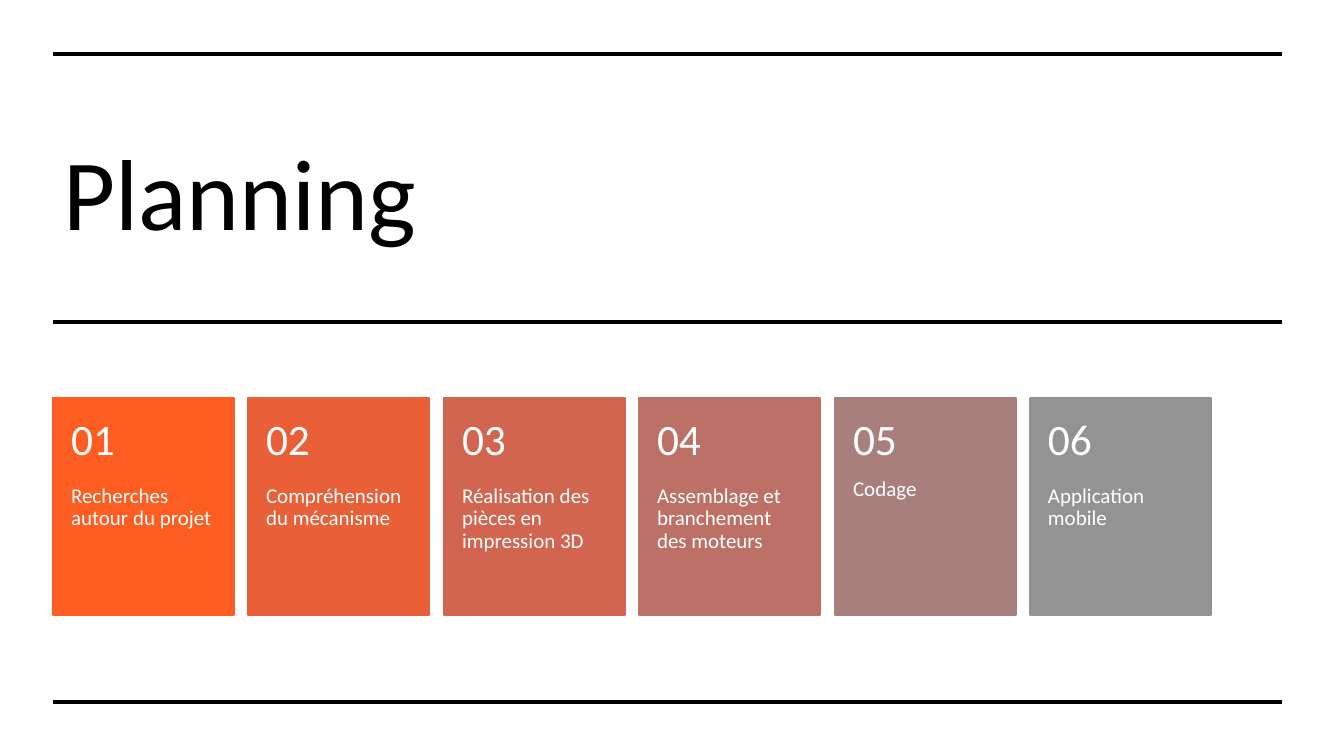
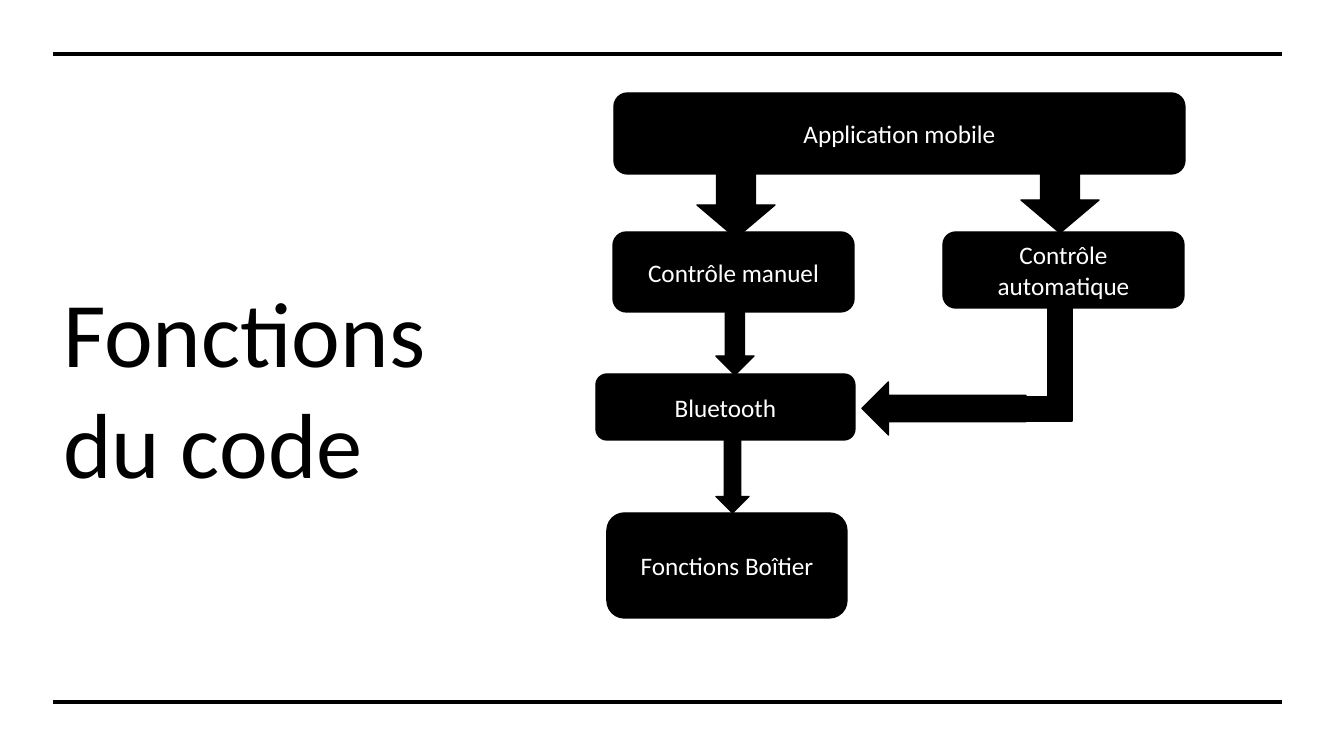
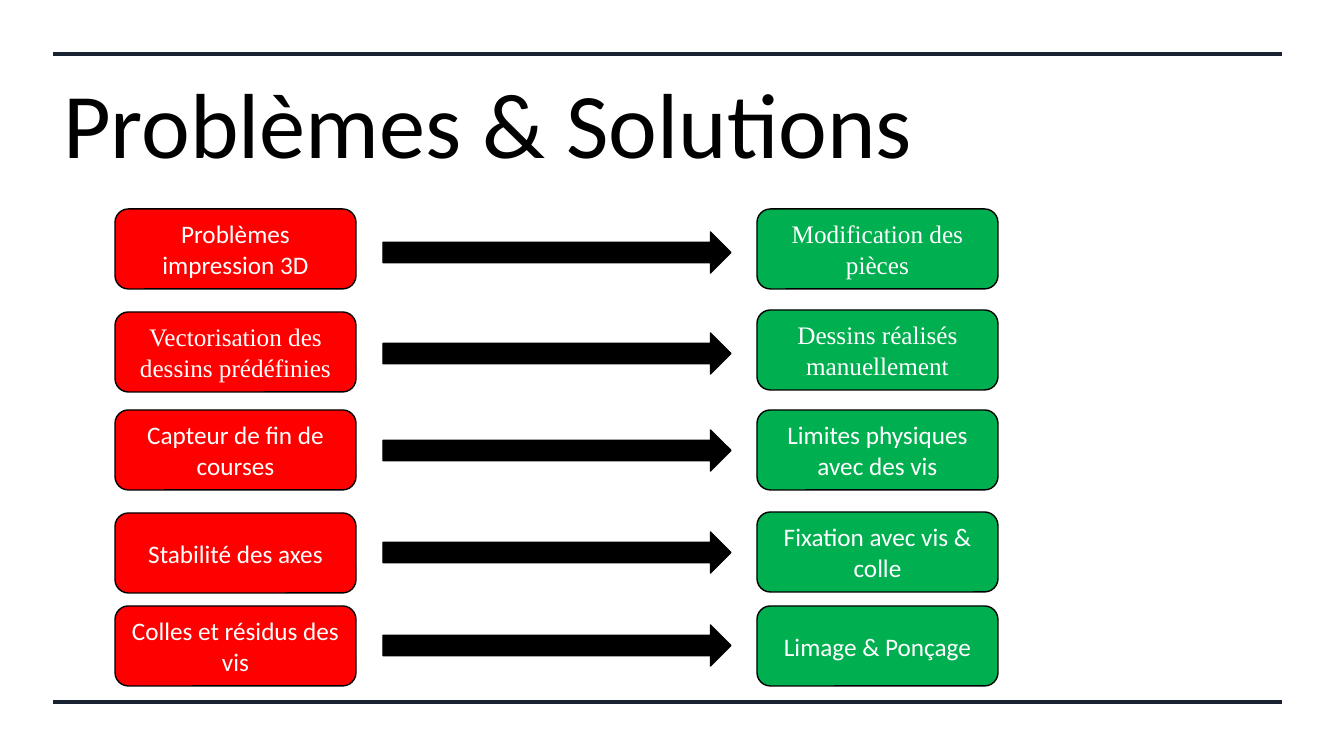
from pptx import Presentation
from pptx.dml.color import RGBColor
from pptx.enum.shapes import MSO_CONNECTOR, MSO_SHAPE as SHAPE
from pptx.enum.text import MSO_ANCHOR as ANCHOR, MSO_AUTO_SIZE, PP_ALIGN as ALIGN
from pptx.oxml.ns import qn
from pptx.util import Pt
from lxml.etree import SubElement

# Shared look
PX = 914400 / 100.8
FONT = "Calibri"
SERIF = "Times New Roman"
COLORS = {
    "black": "000000", "white": "FFFFFF", "navy": "182230",
    "problem": "FF0000", "solution": "00B050",
}
RULE_LEFT, RULE_RIGHT = 53, 1282
RULE_TOP, RULE_BOTTOM = 54, 702

presentation = Presentation()
presentation.slide_width = round(1344 * PX)
presentation.slide_height = round(756 * PX)


def add_slide(title, box, size, rules=(RULE_TOP, RULE_BOTTOM), rule_color="black"):
    """Add a slide with its title and horizontal rules."""
    slide = presentation.slides.add_slide(presentation.slide_layouts[5])
    for y in rules:
        rule = slide.shapes.add_connector(
            MSO_CONNECTOR.STRAIGHT,
            *[round(value * PX) for value in (RULE_LEFT, y, RULE_RIGHT, y)])
        rule.line.color.rgb = RGBColor.from_string(COLORS[rule_color])
        rule.line.width = Pt(2.25)
        SubElement(rule._element.spPr, qn("a:effectLst"))

    shape = slide.shapes.title
    shape.left, shape.top, shape.width, shape.height = [round(value * PX) for value in box]
    frame = shape.text_frame
    frame.text = title
    frame.auto_size = MSO_AUTO_SIZE.NONE
    frame.vertical_anchor = ANCHOR.MIDDLE
    paragraph = frame.paragraphs[0]
    paragraph.alignment = ALIGN.LEFT
    for run in paragraph.runs:
        run.font.name = FONT
        run.font.size = Pt(size)
        run.font.color.rgb = RGBColor.from_string(COLORS["black"])
    return slide


def add_box(slide, kind, box, fill, outline=COLORS["black"], text="", font=FONT):
    """Add a filled preset shape with optional centred text."""
    shape = slide.shapes.add_shape(kind, *[round(value * PX) for value in box])
    shape.shadow.inherit = False
    shape.fill.solid()
    shape.fill.fore_color.rgb = RGBColor.from_string(fill)
    shape.line.color.rgb = RGBColor.from_string(outline)
    shape.line.width = Pt(1)
    if text:
        frame = shape.text_frame
        frame.text = text
        frame.word_wrap = True
        frame.vertical_anchor = ANCHOR.MIDDLE
        paragraph = frame.paragraphs[0]
        paragraph.alignment = ALIGN.CENTER
        run = paragraph.runs[0]
        run.font.name = font
        run.font.size = Pt(18)
        run.font.color.rgb = RGBColor.from_string(COLORS["white"])


# Slide 1: planning steps
slide = add_slide("Planning", (53, 108, 927, 164), 72, (RULE_TOP, 322, RULE_BOTTOM))
steps = [
    ("Recherches autour du projet", "FE5D21"),
    ("Compréhension du mécanisme", "E85F38"),
    ("Réalisation des pièces en impression 3D", "D2654F"),
    ("Assemblage et branchement des moteurs", "BD7066"),
    ("Codage", "A87F7D"),
    ("Application mobile", "939393"),
]
CARD_TOP, CARD_WIDTH, CARD_HEIGHT, NUMBER_HEIGHT = 398, 181, 217, 87
CARD_STEP = 195.4
INSET = 18
for index, (label, color) in enumerate(steps):
    left = RULE_LEFT + round(index * CARD_STEP)
    add_box(slide, SHAPE.RECTANGLE, (left, CARD_TOP, CARD_WIDTH, CARD_HEIGHT), color, color)
    texts = [
        (f"{index + 1:02}", CARD_TOP, NUMBER_HEIGHT, 31, ANCHOR.MIDDLE, INSET, INSET),
        (label, CARD_TOP + NUMBER_HEIGHT, CARD_HEIGHT - NUMBER_HEIGHT, 15,
         ANCHOR.TOP, 0, 2 * INSET),
    ]
    for text, top, height, size, anchor, inset_top, inset_bottom in texts:
        text_box = slide.shapes.add_textbox(
            *[round(value * PX) for value in (left, top, CARD_WIDTH, height)])
        frame = text_box.text_frame
        frame.text = text
        frame.word_wrap = True
        frame.vertical_anchor = anchor
        frame.margin_left = frame.margin_right = round(INSET * PX)
        frame.margin_top = round(inset_top * PX)
        frame.margin_bottom = round(inset_bottom * PX)
        paragraph = frame.paragraphs[0]
        paragraph.line_spacing = 0.9
        run = paragraph.runs[0]
        run.font.name = FONT
        run.font.size = Pt(size)
        run.font.color.rgb = RGBColor.from_string(COLORS["white"])

# Slide 2: code flowchart
slide = add_slide("Fonctions\vdu code", (53, 96, 619, 580), 66)
blocks = [
    ("Application mobile", (614, 93, 571, 81)),
    ("Contrôle manuel", (613, 232, 241, 80)),
    ("Contrôle automatique", (943, 232, 241, 76)),
    ("Bluetooth", (596, 374, 259, 66)),
    ("Fonctions Boîtier", (607, 513, 240, 105)),
]
for text, box in blocks:
    add_box(slide, SHAPE.ROUNDED_RECTANGLE, box, COLORS["black"], text=text)

arrows = [
    (SHAPE.DOWN_ARROW, (697, 172, 78, 66)),
    (SHAPE.DOWN_ARROW, (1021, 167, 78, 66)),
    (SHAPE.DOWN_ARROW, (716, 309, 38, 66)),
    (SHAPE.DOWN_ARROW, (716, 440, 33, 73)),
    (SHAPE.LEFT_ARROW, (862, 382, 164, 53)),
]
for kind, box in arrows:
    add_box(slide, kind, box, COLORS["black"])

# Elbow from the automatic control to the left arrow
outline = slide.shapes.build_freeform(1048, 300, scale=PX)
outline.add_line_segments([(1072, 300), (1072, 421), (1024, 421), (1024, 397), (1048, 397)])
elbow = outline.convert_to_shape()
elbow.shadow.inherit = False
elbow.fill.solid()
elbow.fill.fore_color.rgb = elbow.line.color.rgb = RGBColor.from_string(COLORS["black"])
elbow.line.width = Pt(1)

# Slide 3: problems and solutions
slide = add_slide("Problèmes & Solutions", (53, 3, 1172, 238), 66, rule_color="navy")
# Each row: problem, font, top; arrow top; solution, font, top
rows = [
    ("Problèmes impression 3D", FONT, 209, 232, "Modification des pièces", SERIF, 209),
    ("Vectorisation des dessins prédéfinies", SERIF, 312, 333,
     "Dessins réalisés manuellement", SERIF, 310),
    ("Capteur de fin de courses", FONT, 410, 430, "Limites physiques avec des vis", FONT, 410),
    ("Stabilité des axes", FONT, 513, 532, "Fixation avec vis & colle", FONT, 512),
    ("Colles et résidus des vis", FONT, 606, 625, "Limage & Ponçage", FONT, 606),
]
for problem, problem_font, problem_top, arrow_top, solution, solution_font, solution_top in rows:
    add_box(slide, SHAPE.ROUNDED_RECTANGLE, (115, problem_top, 241, 80),
            COLORS["problem"], text=problem, font=problem_font)
    add_box(slide, SHAPE.RIGHT_ARROW, (383, arrow_top, 348, 41), COLORS["black"])
    add_box(slide, SHAPE.ROUNDED_RECTANGLE, (757, solution_top, 241, 80),
            COLORS["solution"], text=solution, font=solution_font)

presentation.save("out.pptx")
